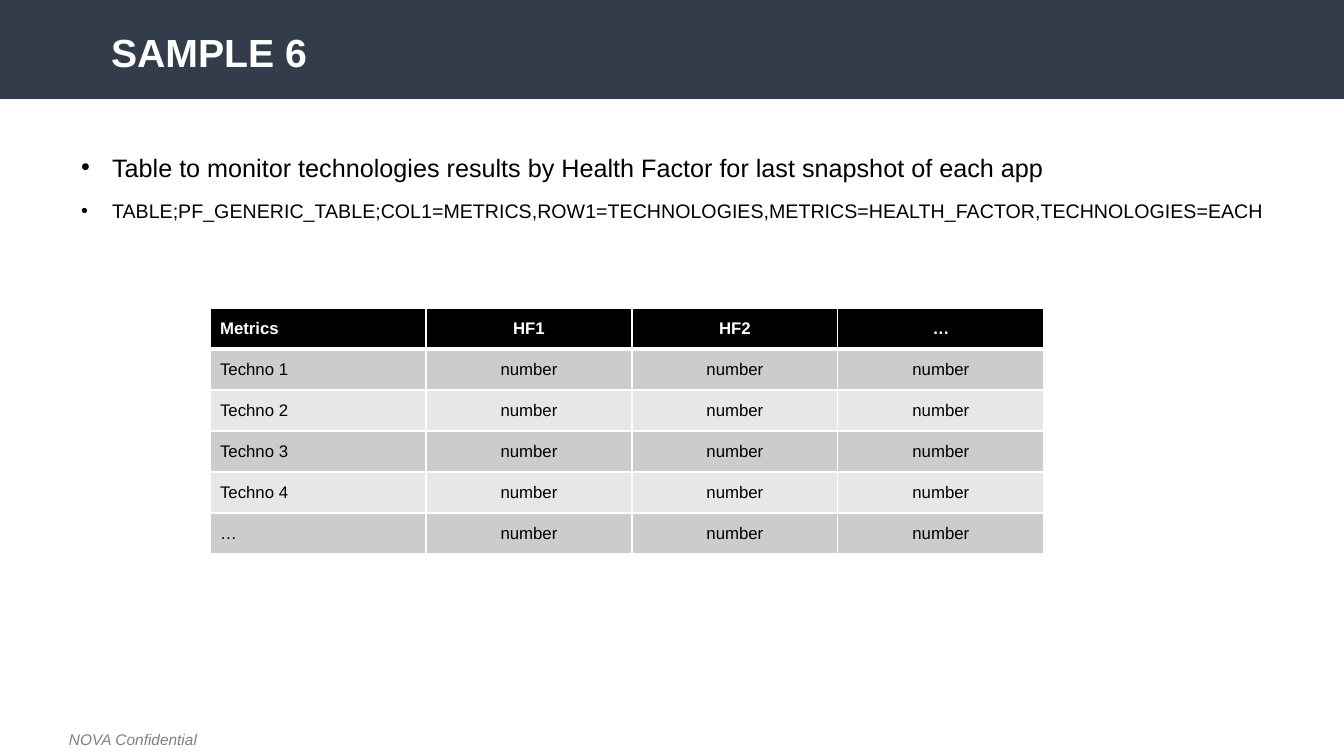
from lxml import etree
from pptx import Presentation
from pptx import util as u
from pptx.dml.color import RGBColor
from pptx.enum import shapes, text
from pptx.oxml import ns

COLORS = {"banner": "323C4B", "white": "FFFFFF", "black": "000000",
          "footer": "808080", "odd": "CCCCCC", "even": "E7E7E7"}
FONT = "Arial"
HEADINGS = ["Metrics", "HF1", "HF2", "…"]
TECHNOLOGIES = ["Techno 1", "Techno 2", "Techno 3", "Techno 4", "…"]
BULLETS = [
    ("Table to monitor technologies results by Health Factor for last snapshot of each app", 18),
    ("TABLE;PF_GENERIC_TABLE;COL1=METRICS,ROW1=TECHNOLOGIES,METRICS=HEALTH_FACTOR,"
     "TECHNOLOGIES=EACH", 14),
]


def px(length):
    """Turn pixels into EMU."""
    return u.Emu(round(length * 914400 / 100.8))


def rgb(name):
    """Look up a named colour."""
    return RGBColor.from_string(COLORS[name])


def write(paragraph, words, size, color="black", bold=False, italic=False,
          align=text.PP_ALIGN.LEFT, before=0, spacing=1.0):
    """Write one formatted run into a paragraph."""
    paragraph.alignment = align
    paragraph.space_before = u.Pt(before)
    paragraph.line_spacing = spacing
    run = paragraph.add_run()
    run.text = words
    font = run.font
    font.name, font.size, font.bold, font.italic = FONT, u.Pt(size), bold, italic
    font.color.rgb = rgb(color)


def place(shape, box):
    """Move a placeholder to a box and anchor its text at the top."""
    shape.left, shape.top, shape.width, shape.height = map(px, box)
    frame = shape.text_frame
    frame.word_wrap = True
    frame.auto_size = text.MSO_AUTO_SIZE.NONE
    frame.vertical_anchor = text.MSO_ANCHOR.TOP
    return frame


def add_header(slide, box):
    """Draw the banner behind the slide title."""
    left, top, width, height = box
    banner = slide.shapes.add_shape(shapes.MSO_SHAPE.RECTANGLE, *map(px, box))
    banner.shadow.inherit = False
    banner.fill.solid()
    banner.fill.fore_color.rgb = rgb("banner")
    banner.line.fill.background()
    title = slide.shapes.title
    title._element.addprevious(banner._element)
    frame = place(title, (left + 101, top + 29, width - 185, 44))
    write(frame.paragraphs[0], "SAMPLE 6", 28, "white", bold=True, spacing=0.9)


def add_bullets(slide, box):
    """Fill the body placeholder with the bulleted list."""
    frame = place(slide.placeholders[1], box)
    for index, (words, size) in enumerate(BULLETS):
        paragraph = frame.add_paragraph() if index else frame.paragraphs[0]
        write(paragraph, words, size, before=12)
        properties = paragraph._p.get_or_add_pPr()
        properties.set("marL", str(px(31)))
        properties.set("indent", str(-px(31)))
        etree.SubElement(properties, ns.qn("a:buChar")).set("char", "•")


def add_border(cell, side, points):
    """Give one side of a cell a white line."""
    line = etree.SubElement(cell._tc.get_or_add_tcPr(), ns.qn(f"a:ln{side}"))
    line.set("w", str(u.Pt(points)))
    fill = etree.SubElement(line, ns.qn("a:solidFill"))
    etree.SubElement(fill, ns.qn("a:srgbClr")).set("val", COLORS["white"])


def add_results(slide, box):
    """Add the table of technologies by health factor."""
    rows = [HEADINGS] + [[name] + ["number"] * 3 for name in TECHNOLOGIES]
    table = slide.shapes.add_table(len(rows), len(HEADINGS), *map(px, box)).table
    for index, column in enumerate(table.columns):
        column.width = px(206 if index else 216)
    for r, words in enumerate(rows):
        table.rows[r].height = px(box[3] // len(rows))
        band = "black" if r == 0 else "odd" if r % 2 else "even"
        for c, word in enumerate(words):
            cell = table.cell(r, c)
            for side in "LRTB":
                thick = (r, side) in [(0, "B"), (1, "T")]
                add_border(cell, side, 3 if thick else 1)
            cell.fill.solid()
            cell.fill.fore_color.rgb = rgb(band)
            cell.vertical_anchor = text.MSO_ANCHOR.MIDDLE
            write(cell.text_frame.paragraphs[0], word, 12,
                  "black" if r else "white", bold=r == 0,
                  align=text.PP_ALIGN.CENTER if c else text.PP_ALIGN.LEFT)


def add_footer(slide, box):
    """Add the confidentiality note on one line."""
    frame = slide.shapes.add_textbox(*map(px, box)).text_frame
    frame.word_wrap = True
    write(frame.paragraphs[0], "NOVA Confidential", 11, "footer", italic=True)


def main():
    """Build and save the slide."""
    deck = Presentation()
    deck.slide_width, deck.slide_height = px(1344), px(756)
    slide = deck.slides.add_slide(deck.slide_layouts[1])
    add_header(slide, (0, 0, 1344, 99))
    add_bullets(slide, (71, 147, 1206, 480))
    add_results(slide, (210, 308, 834, 246))
    add_footer(slide, (59, 725, 180, 29))
    deck.save("out.pptx")


if __name__ == "__main__":
    main()
